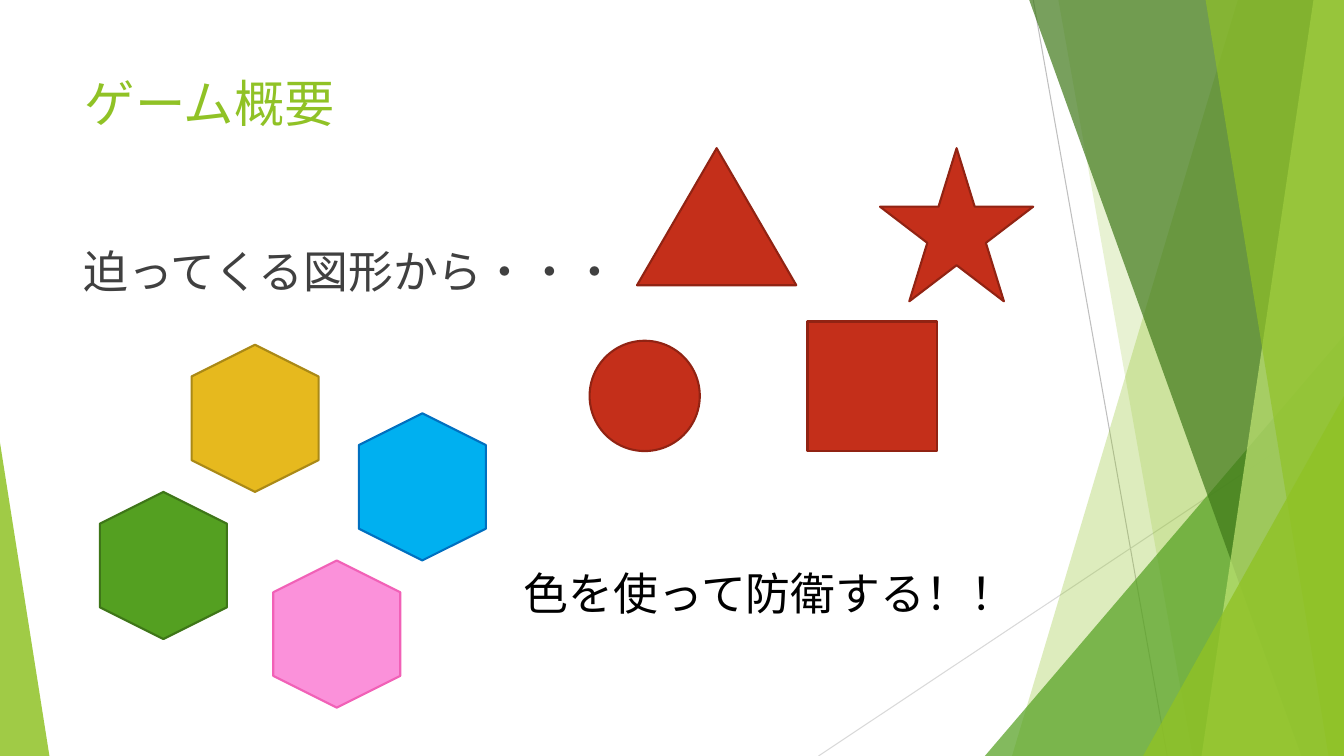
from lxml.etree import SubElement
from pptx import Presentation
from pptx.dml.color import RGBColor
from pptx.enum.shapes import MSO_CONNECTOR, MSO_SHAPE
from pptx.enum.text import MSO_ANCHOR, PP_ALIGN
from pptx.oxml.ns import qn
from pptx.util import Inches, Pt

FONT = "Lato"
LIME = RGBColor(0x90, 0xC2, 0x26)
PALE_LIME = RGBColor(0xC0, 0xE4, 0x74)
GREEN = RGBColor(0x54, 0xA0, 0x21)
GREEN_EDGE = RGBColor(0x3E, 0x76, 0x18)
DARK_GREEN = RGBColor(0x3F, 0x78, 0x19)
GRAY = RGBColor(0xBF, 0xBF, 0xBF)
LIGHT_GRAY = RGBColor(0xD9, 0xD9, 0xD9)
TEXT_GRAY = RGBColor(0x40, 0x40, 0x40)
BLACK = RGBColor(0, 0, 0)
RED = RGBColor(0xC4, 0x2F, 0x1A)
RED_EDGE = RGBColor(0x91, 0x23, 0x13)
GOLD = RGBColor(0xE6, 0xB9, 0x1E)
GOLD_EDGE = RGBColor(0xAA, 0x89, 0x16)
PINK = RGBColor(0xFB, 0x91, 0xDA)
PINK_EDGE = RGBColor(0xF1, 0x61, 0xB7)
BLUE = RGBColor(0x00, 0xB0, 0xF0)
BLUE_EDGE = RGBColor(0x00, 0x70, 0xC0)


class SlideBuilder:
    """Draws on one slide; positions and sizes are percentages of the slide."""

    def __init__(self, presentation):
        self.width = presentation.slide_width
        self.height = presentation.slide_height
        self.slide = presentation.slides.add_slide(presentation.slide_layouts[5])
        self.shapes = self.slide.shapes

    def x(self, share):
        return round(self.width * share / 100)

    def y(self, share):
        return round(self.height * share / 100)

    def box(self, left, top, width, height):
        return self.x(left), self.y(top), self.x(width), self.y(height)

    def paint(self, shape, fill, edge=None, opacity=100):
        shape.shadow.inherit = False
        shape.fill.solid()
        shape.fill.fore_color.rgb = fill
        if opacity < 100:
            color = shape.element.spPr.find(qn("a:solidFill"))[0]
            SubElement(color, qn("a:alpha"), val=str(opacity * 1000))
        if edge is None:
            shape.line.fill.background()
        else:
            shape.line.color.rgb = edge
            shape.line.width = Pt(1.5)

    def line(self, start, end, color):
        connector = self.shapes.add_connector(
            MSO_CONNECTOR.STRAIGHT, self.x(start[0]), self.y(start[1]),
            self.x(end[0]), self.y(end[1]))
        connector.line.color.rgb = color
        connector.line.width = Pt(0.75)
        SubElement(connector.element.spPr, qn("a:effectLst"))

    def band(self, top_left, bottom_left, fill, opacity):
        """Full-height band from a slanted left side to the right slide edge."""
        outline = self.shapes.build_freeform(self.x(top_left), 0, scale=1.0)
        outline.add_line_segments(
            [(self.width, 0), (self.width, self.height),
             (self.x(bottom_left), self.height)], close=True)
        self.paint(outline.convert_to_shape(), fill, opacity=opacity)

    def corner(self, left, top, width, apex, fill, opacity):
        """Right triangle standing on the bottom edge of the slide."""
        triangle = self.shape(MSO_SHAPE.ISOSCELES_TRIANGLE,
                              (left, top, width, 100 - top), fill, opacity=opacity)
        triangle.adjustments[0] = apex

    def shape(self, kind, bounds, fill, edge=None, opacity=100):
        shape = self.shapes.add_shape(kind, *self.box(*bounds))
        self.paint(shape, fill, edge, opacity)
        return shape

    def hexagon(self, left, top, fill, edge):
        hexagon = self.shape(MSO_SHAPE.HEXAGON, (left, top, 10.95, 16.8), fill, edge)
        hexagon.rotation = 90

    def set_text(self, shape, text, size, color):
        frame = shape.text_frame
        frame.word_wrap = True
        frame.vertical_anchor = MSO_ANCHOR.TOP
        frame.text = text
        paragraph = frame.paragraphs[0]
        paragraph.alignment = PP_ALIGN.LEFT
        run = paragraph.runs[0]
        run.font.name = FONT
        run.font.size = Pt(size)
        run.font.color.rgb = color
        SubElement(run.font._element, qn("a:ea"), typeface=FONT)

    def title(self, text, bounds):
        title = self.shapes.title
        title.left, title.top, title.width, title.height = self.box(*bounds)
        self.set_text(title, text, 36, LIME)
        title.element.getparent().append(title.element)  # in front of the bands

    def text(self, text, bounds, color):
        self.set_text(self.shapes.add_textbox(*self.box(*bounds)), text, 32, color)


presentation = Presentation()
presentation.slide_width = Inches(13.33)
presentation.slide_height = Inches(7.5)
builder = SlideBuilder(presentation)

# Green decoration along the slide edges
builder.line((76.88, 0), (86.85, 100), GRAY)
builder.line((100, 53.73), (60.9, 100), LIGHT_GRAY)
builder.band(92.1, 75.3, LIME, 30)
builder.band(78.75, 88.73, LIME, 20)
builder.corner(73.28, 44.4, 26.72, 1, GREEN, 72)
builder.band(76.58, 96.83, DARK_GREEN, 70)
builder.band(97.73, 89.4, PALE_LIME, 70)
builder.band(89.7, 98.85, LIME, 65)
builder.corner(85.05, 52.4, 14.95, 1, LIME, 80)
builder.corner(0, 58.53, 3.68, 0, LIME, 85)

# Title and first statement
builder.title("ゲーム概要", (5.55, 8.93, 70.5, 19.2))
builder.text("迫ってくる図形から・・・", (5.48, 31.6, 42.5, 8.27), TEXT_GRAY)

# Approaching red figures
for kind, bounds in [
    (MSO_SHAPE.OVAL, (43.87, 45.07, 8.2, 14.6)),
    (MSO_SHAPE.RECTANGLE, (60.08, 42.53, 9.65, 17.13)),
    (MSO_SHAPE.ISOSCELES_TRIANGLE, (47.4, 19.6, 11.85, 18.13)),
    (MSO_SHAPE.STAR_5_POINT, (65.48, 19.6, 11.4, 20.27)),
]:
    builder.shape(kind, bounds, RED, RED_EDGE)

# Defence statement and coloured hexagons
builder.text("色を使って防衛する！！", (38.25, 74.13, 43.73, 8.53), BLACK)
for left, top, fill, edge in [
    (13.5, 46.93, GOLD, GOLD_EDGE),
    (19.58, 75.47, PINK, PINK_EDGE),
    (6.68, 66.4, GREEN, GREEN_EDGE),
    (25.95, 56, BLUE, BLUE_EDGE),
]:
    builder.hexagon(left, top, fill, edge)

presentation.save("out.pptx")
